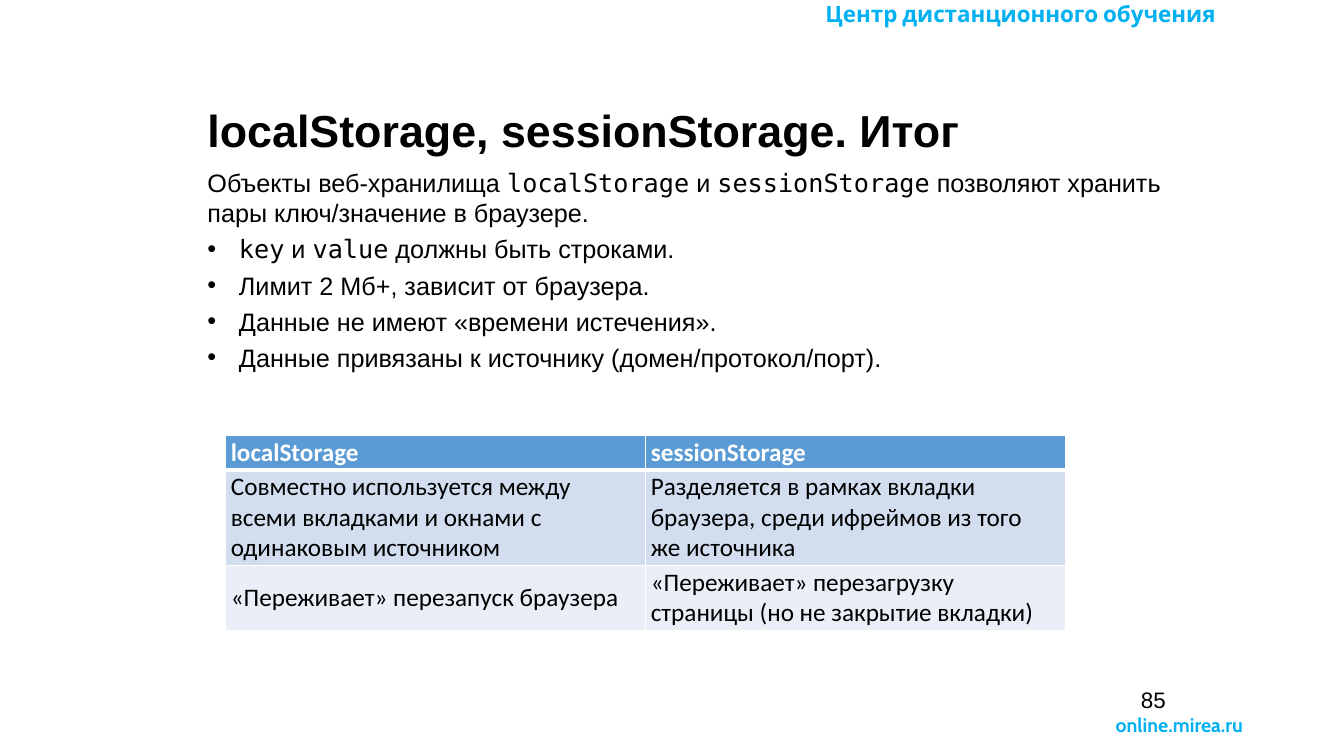
from lxml.etree import SubElement
from pptx import Presentation
from pptx.dml.color import RGBColor
from pptx.enum.text import MSO_ANCHOR as Anchor, MSO_AUTO_SIZE as AutoSize, PP_ALIGN as Align
from pptx.oxml import parse_xml
from pptx.oxml.ns import nsdecls, qn
from pptx.util import Pt

SANS, MONO, BRAND, TABLE = "Arial", "DejaVu Sans Mono", "Cabin", "Calibri"
BLACK, WHITE, CYAN = "000000", "FFFFFF", "00B0F0"
HEADER, BAND_DARK, BAND_LIGHT = "5B9BD5", "D2DEEF", "EAEFF7"

INTRO = [
    ("Объекты веб-хранилища ", SANS), ("localStorage", MONO), (" и ", SANS),
    ("sessionStorage", MONO),
    (" позволяют хранить пары ключ/значение в браузере.", SANS),
]
BULLETS = [
    [("key", MONO), (" и ", SANS), ("value", MONO), (" должны быть строками.", SANS)],
    [("Лимит 2 Мб+, зависит от браузера.", SANS)],
    [("Данные не имеют «времени истечения».", SANS)],
    [("Данные привязаны к источнику (домен/протокол/порт).", SANS)],
]
COMPARISON = [
    ("localStorage", "sessionStorage"),
    ("Совместно используется между всеми вкладками и окнами с одинаковым источником",
     "Разделяется в рамках вкладки браузера, среди ифреймов из того же источника"),
    ("«Переживает» перезапуск браузера",
     "«Переживает» перезагрузку страницы (но не закрытие вкладки)"),
]


def color(value):
    return RGBColor.from_string(value)


def write(paragraph, text, font=SANS, size=18, fill=BLACK, bold=False):
    run = paragraph.add_run()
    run.text = text
    run.font.name = font
    run.font.size = Pt(size)
    run.font.bold = bold
    run.font.color.rgb = color(fill)


class SlideBuilder:
    """Hold the shared style and the current slide, and add elements to it."""

    hanging = 22.5
    gap = 4.2
    border = 1
    header_border = 3

    def __init__(self, presentation):
        self.slide = presentation.slides.add_slide(presentation.slide_layouts[1])

    def place(self, shape, left, top, width, height):
        shape.left, shape.top = Pt(left), Pt(top)
        shape.width, shape.height = Pt(width), Pt(height)
        frame = shape.text_frame
        frame.word_wrap = True
        frame.auto_size = AutoSize.NONE
        frame.vertical_anchor = Anchor.TOP
        return frame

    def label(self, text, box, align=Align.LEFT, **style):
        shape = self.slide.shapes.add_textbox(0, 0, 0, 0)
        paragraph = self.place(shape, *box).paragraphs[0]
        paragraph.alignment = align
        write(paragraph, text, **style)

    def title(self, text, box):
        paragraph = self.place(self.slide.shapes.title, *box).paragraphs[0]
        paragraph.alignment = Align.LEFT
        paragraph.space_before = Pt(0)
        write(paragraph, text, size=32, bold=True)

    def body(self, intro, bullets, box):
        frame = self.place(self.slide.placeholders[1], *box)
        for index, pieces in enumerate([intro, *bullets]):
            paragraph = frame.add_paragraph() if index else frame.paragraphs[0]
            self.indent(paragraph, bulleted=index > 0)
            paragraph.alignment = Align.LEFT
            paragraph.space_before = Pt(self.gap if index else 0)
            for text, font in pieces:
                write(paragraph, text, font=font)

    def indent(self, paragraph, bulleted):
        properties = paragraph._p.get_or_add_pPr()
        margin = Pt(self.hanging) if bulleted else 0
        properties.set("marL", str(margin))
        properties.set("indent", str(-margin))
        if bulleted:
            SubElement(properties, qn("a:buFont"), typeface=SANS)
            SubElement(properties, qn("a:buChar"), char="•")
        else:
            SubElement(properties, qn("a:buNone"))

    def table(self, rows, left, top, widths, heights):
        table = self.slide.shapes.add_table(
            len(rows), len(widths), Pt(left), Pt(top),
            Pt(sum(widths)), Pt(sum(heights))).table
        table.horz_banding = False
        for column, width in zip(table.columns, widths):
            column.width = Pt(width)
        for row, height in zip(table.rows, heights):
            row.height = Pt(height)
        for row_index, texts in enumerate(rows):
            for column_index, text in enumerate(texts):
                self.cell(table.cell(row_index, column_index), text, row_index)

    def cell(self, cell, text, row_index):
        is_header = row_index == 0
        cell.margin_left, cell.margin_right = Pt(3.6), Pt(7.2)
        cell.margin_top = cell.margin_bottom = Pt(1.2)
        cell.vertical_anchor = Anchor.BOTTOM if is_header else Anchor.MIDDLE
        cell.fill.solid()
        cell.fill.fore_color.rgb = color((HEADER, BAND_DARK, BAND_LIGHT)[row_index])
        write(cell.text_frame.paragraphs[0], text, font=TABLE,
              fill=WHITE if is_header else BLACK, bold=is_header)
        top = self.header_border if row_index == 1 else self.border
        bottom = self.header_border if is_header else self.border
        edges = {"L": self.border, "R": self.border, "T": top, "B": bottom}
        properties = cell._tc.get_or_add_tcPr()
        for position, (edge, width) in enumerate(edges.items()):
            properties.insert(position, parse_xml(
                f'<a:ln{edge} {nsdecls("a")} w="{Pt(width)}"><a:solidFill>'
                f'<a:srgbClr val="{WHITE}"/></a:solidFill></a:ln{edge}>'))


def main():
    presentation = Presentation()
    presentation.slide_width, presentation.slide_height = Pt(960), Pt(540)
    builder = SlideBuilder(presentation)
    brand = {"font": BRAND, "fill": CYAN, "bold": True}
    builder.label("Центр дистанционного обучения", (582.5, -3.6, 377.5, 26.6),
                  size=16, **brand)
    builder.label("online.mirea.ru", (789.8, 505.4, 154.8, 24.5), size=14, **brand)
    builder.title("localStorage, sessionStorage. Итог", (141, 69.8, 720, 93))
    builder.label("85", (671.8, 486.7, 168, 21), align=Align.RIGHT, size=16)
    builder.body(INTRO, BULLETS, (141, 116, 729.5, 168.5))
    builder.table(COMPARISON, 161.3, 311, widths=(300, 300), heights=(24.5, 68, 46.5))
    presentation.save("out.pptx")


if __name__ == "__main__":
    main()
